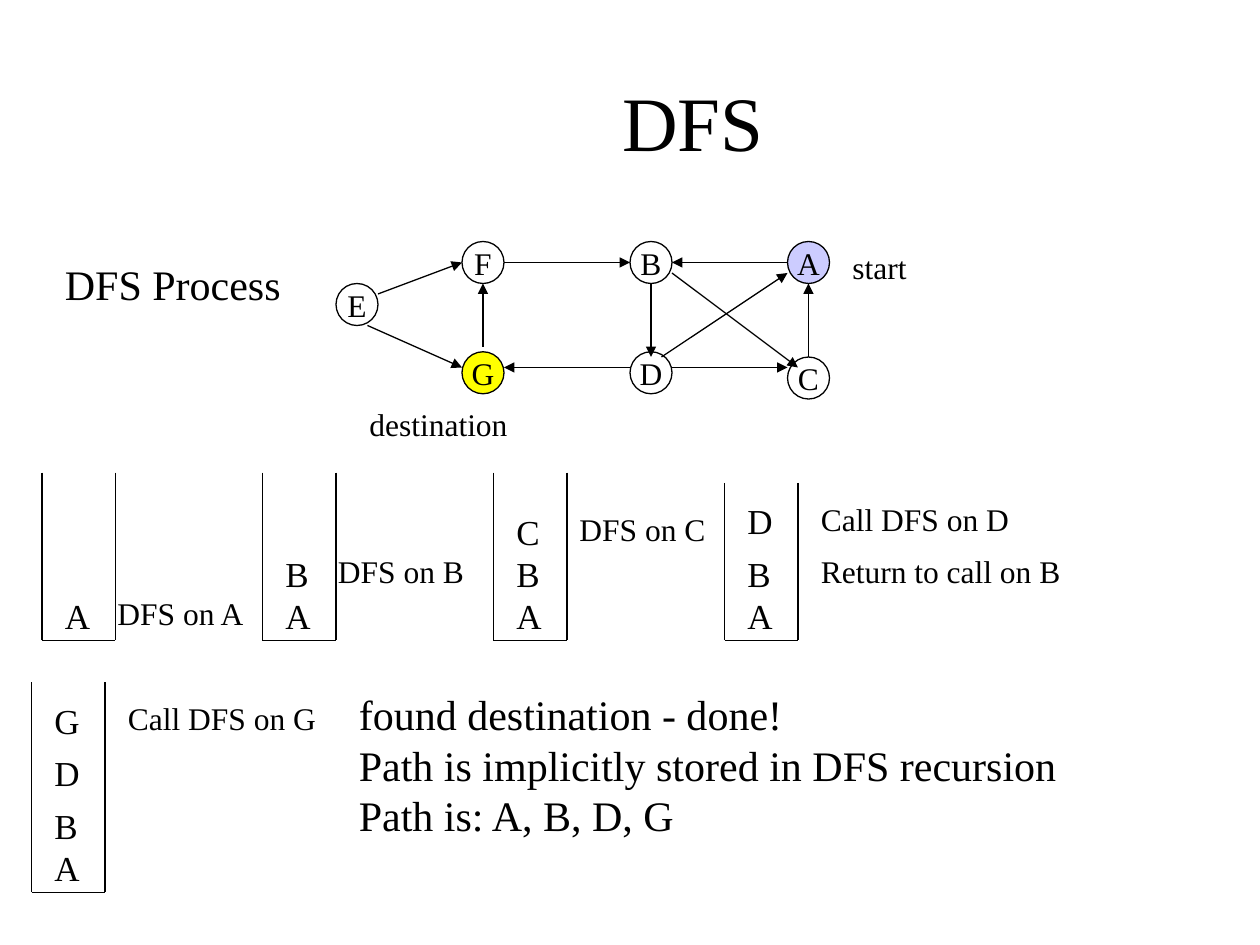
from lxml.etree import SubElement
from pptx import Presentation
from pptx.dml.color import RGBColor
from pptx.enum.shapes import MSO_CONNECTOR, MSO_SHAPE
from pptx.enum.text import MSO_ANCHOR, MSO_AUTO_SIZE, PP_ALIGN
from pptx.oxml.ns import qn
from pptx.util import Cm, Pt

# All places and lengths are in grid units, twelve to the inch.
GRID = 2.54 / 12
BLACK, WHITE, YELLOW, LILAC = "000000", "FFFFFF", "FFFF00", "CCCCFF"
FONT = "Times New Roman"
NODE_SIZE = 4
STACK_WIDTH = 7

# text, left, top, width, height, size
TITLE = ("DFS", 18, 4, 96, 15, 44)
NODES = [  # name, left, top, fill
    ("E", 32, 27, WHITE),
    ("F", 44, 23, WHITE),
    ("G", 44, 33.5, YELLOW),
    ("B", 60, 23, WHITE),
    ("C", 75, 34, WHITE),
    ("D", 60, 33.5, WHITE),
    ("A", 75, 23, LILAC),
]
EDGES = [  # start, end
    ((36, 28), (44, 25)),  # E to F
    ((35, 31), (44, 35)),  # E to G
    ((48, 25), (60, 25)),  # F to B
    ((46, 33), (46, 27)),  # G to F
    ((60, 35), (48, 35)),  # D to G
    ((64, 35), (75, 35)),  # D to C
    ((64, 26), (76, 35)),  # B to C
    ((62, 27), (62, 34)),  # B to D
    ((63, 34), (75, 26)),  # D to A
    ((75, 25), (64, 25)),  # A to B
    ((77, 34), (77, 27)),  # C to A
]
STACKS = [  # left, top, bottom, letters with their height above the bottom
    (4, 45, 61, {"A": 5}),
    (25, 45, 61, {"A": 5, "B": 9}),
    (47, 45, 61, {"A": 5, "B": 9, "C": 13}),
    (69, 46, 61, {"A": 5, "B": 9, "D": 14}),
    (3, 65, 85, {"A": 5, "B": 9, "D": 14, "G": 19}),
]
LABELS = [  # text, left, top, width, height, size
    ("start", 80, 23, 8, 4.8, 18),
    ("destination", 34, 38, 16, 4.8, 18),
    ("DFS on A", 10, 56, 15, 4.8, 18),
    ("DFS on B", 31, 52, 15, 4.8, 18),
    ("DFS on C", 54, 48, 15, 4.8, 18),
    ("Return to call on B", 77, 52, 26, 4.8, 18),
    ("Call DFS on D", 77, 47, 21, 4.8, 18),
    ("Call DFS on G", 11, 66, 21, 4.8, 18),
    ("found destination - done!\nPath is implicitly stored in DFS recursion\n"
     "Path is: A, B, D, G", 33, 65, 69.5, 15.6, 24),
    ("DFS Process", 5, 24, 23.5, 6, 24),
]

CENTRED = {"vertical_anchor": MSO_ANCHOR.MIDDLE, "word_wrap": False}
GROWING = {"auto_size": MSO_AUTO_SIZE.SHAPE_TO_FIT_TEXT, "word_wrap": False}


def grid(*values):
    return [Cm(v * GRID) for v in values]


def rgb(color):
    return RGBColor.from_string(color)


def write(sp, text, size, frame, align):
    tf = sp.text_frame
    for name, value in frame.items():
        setattr(tf, name, value)
    tf.text = text
    for p in tf.paragraphs:
        p.alignment = align
        for r in p.runs:
            for name, value in {"name": FONT, "size": Pt(size)}.items():
                setattr(r.font, name, value)
            r.font.color.rgb = rgb(BLACK)


def add_text(s, text, left, top, width, height, size,
             frame=GROWING, align=PP_ALIGN.LEFT):
    sp = s.shapes.add_textbox(*grid(left, top, width, height))
    write(sp, text, size, frame, align)


def add_line(s, start, end, arrow=False):
    line = s.shapes.add_connector(MSO_CONNECTOR.STRAIGHT, *grid(*start, *end))
    line.line.color.rgb = rgb(BLACK)
    line.line.width = Pt(0.75)
    pr = line._element.spPr
    if arrow:
        SubElement(pr.find(qn("a:ln")), qn("a:tailEnd"), type="triangle")
    SubElement(pr, qn("a:effectLst"))


def add_node(s, name, left, top, fill):
    sp = s.shapes.add_shape(MSO_SHAPE.OVAL,
                            *grid(left, top, NODE_SIZE, NODE_SIZE))
    sp.shadow.inherit = False
    sp.fill.solid()
    sp.fill.fore_color.rgb = rgb(fill)
    sp.line.color.rgb = rgb(BLACK)
    sp.line.width = Pt(0.75)
    write(sp, name, 18, CENTRED, PP_ALIGN.CENTER)


def add_stack(s, left, top, bottom, letters):
    right = left + STACK_WIDTH
    for start, end in [((left, top), (left, bottom)),
                       ((right, top), (right, bottom)),
                       ((left, bottom), (right, bottom))]:
        add_line(s, start, end)
    for letter, height in letters.items():
        add_text(s, letter, left + 1, bottom - height, 5, 5.25, 20)


def main():
    prs = Presentation()
    prs.slide_width, prs.slide_height = grid(120, 90)
    s = prs.slides.add_slide(prs.slide_layouts[6])
    add_text(s, *TITLE, frame={**CENTRED, "word_wrap": True},
             align=PP_ALIGN.CENTER)
    for node in NODES:
        add_node(s, *node)
    for start, end in EDGES:
        add_line(s, start, end, arrow=True)
    for stack in STACKS:
        add_stack(s, *stack)
    for label in LABELS:
        add_text(s, *label)
    prs.save("out.pptx")


if __name__ == "__main__":
    main()
